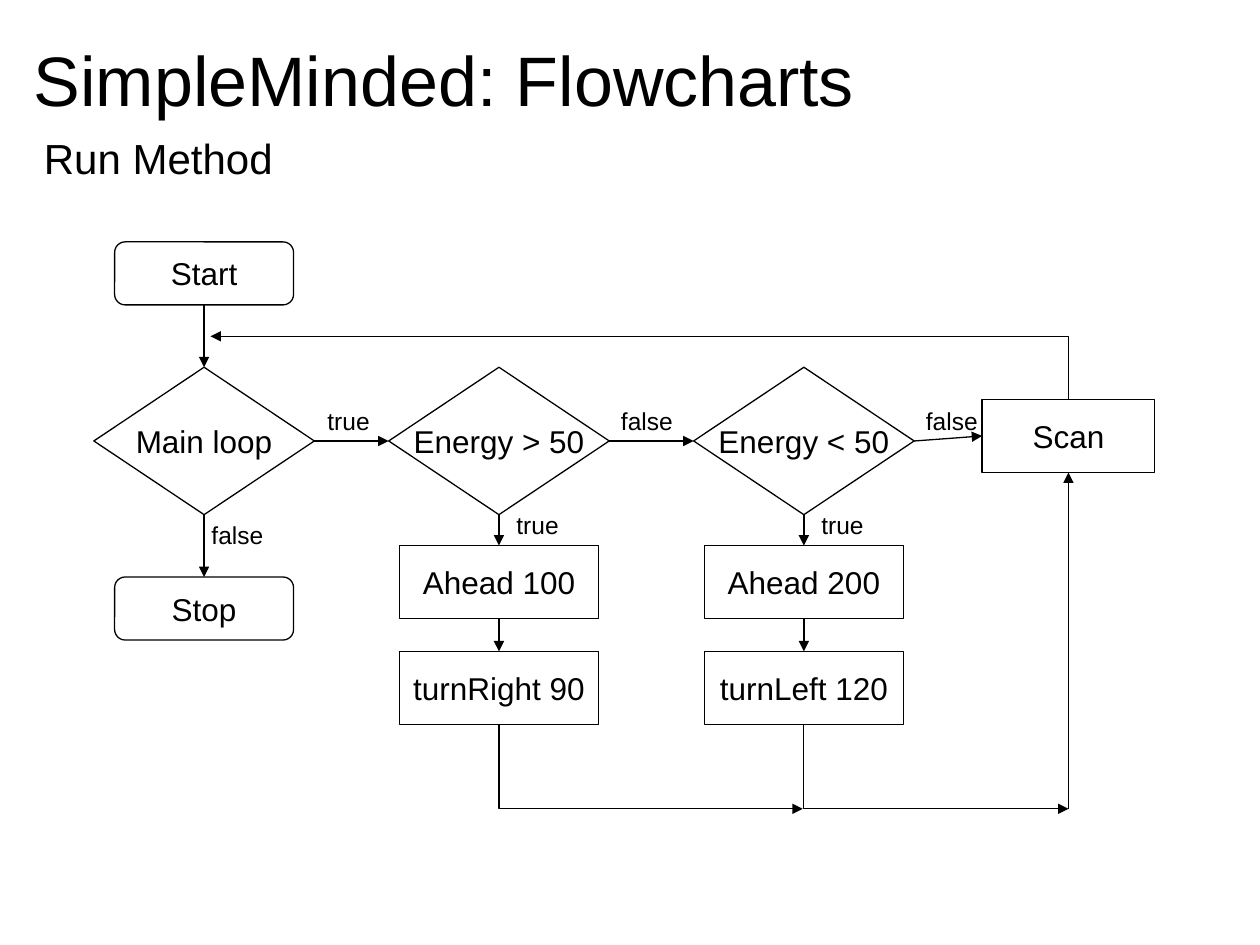
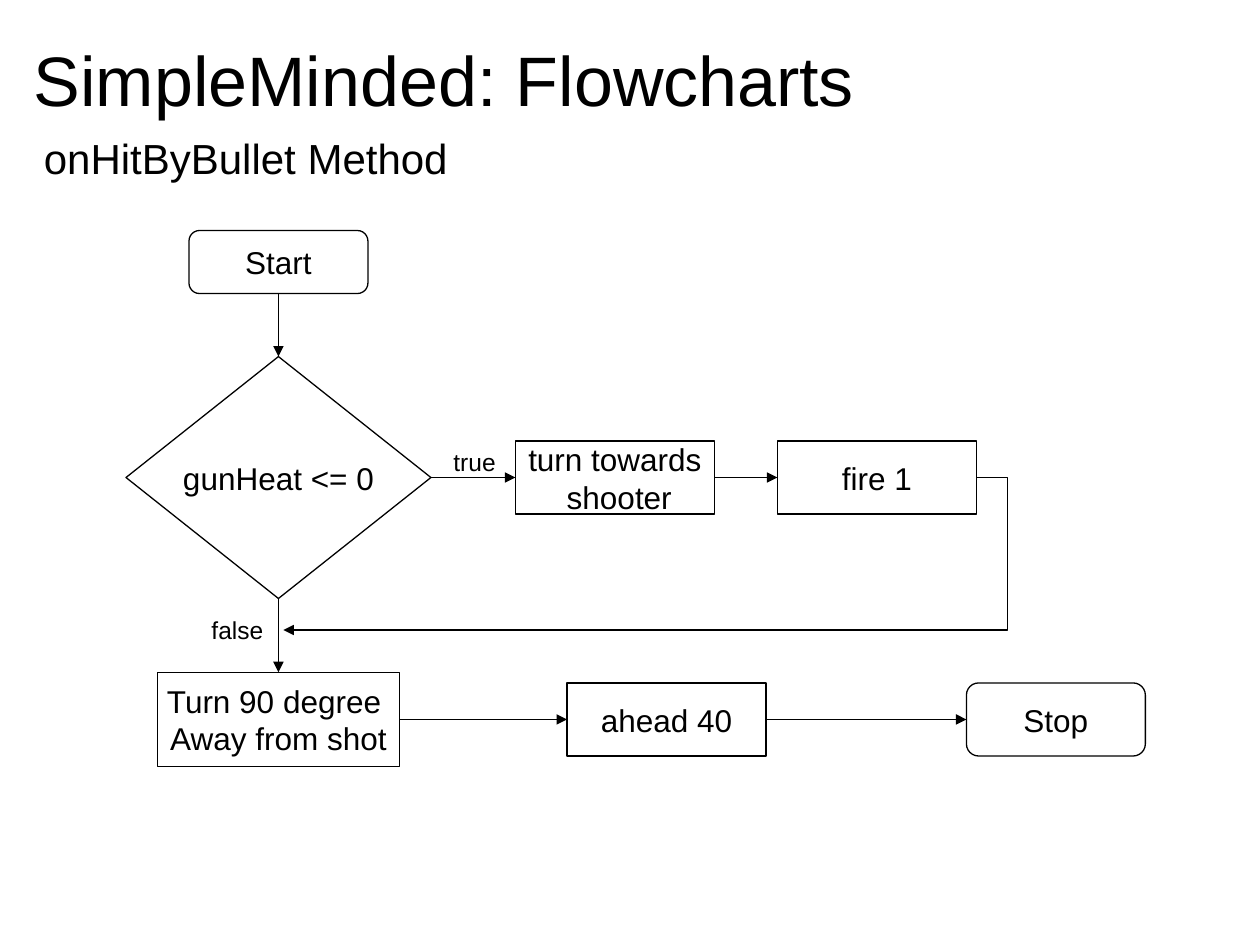
import pptx
import pptx.dml.color
import pptx.enum.shapes
import pptx.enum.text
import pptx.oxml.ns
import pptx.util
from lxml import etree

Inches = pptx.util.Inches
Pt = pptx.util.Pt
qn = pptx.oxml.ns.qn
ANCHOR = pptx.enum.text.MSO_ANCHOR
ALIGN = pptx.enum.text.PP_ALIGN
AUTO_SIZE = pptx.enum.text.MSO_AUTO_SIZE
SHAPE = pptx.enum.shapes.MSO_SHAPE
CONNECTOR = pptx.enum.shapes.MSO_CONNECTOR

COLORS = {"ink": "000000", "page": "FFFFFF"}
FONT = "Arial"
LINE_WIDTH = 0.75
TOP, LEFT, BOTTOM, RIGHT = range(4)
TERMINAL = SHAPE.FLOWCHART_ALTERNATE_PROCESS
STEP = SHAPE.FLOWCHART_PROCESS
DECISION = SHAPE.FLOWCHART_DECISION
TERMINAL_SIZE = (1.42, 0.5)
STEP_SIZE = (1.58, 0.58)
DECISION_SIZE = (1.75, 1.17)
LABEL_WIDTHS = {"true": 0.55, "false": 0.62}


def color(name):
    return pptx.dml.color.RGBColor.from_string(COLORS[name])


def write_text(shape, text, size, align=ALIGN.LEFT, **frame_format):
    frame = shape.text_frame
    frame.text = text
    for name, value in frame_format.items():
        setattr(frame, name, value)
    for para in frame.paragraphs:
        para.alignment = align
        for name, value in {"size": Pt(size), "name": FONT}.items():
            setattr(para.font, name, value)
        para.font.color.rgb = color("ink")


def add_text(page, at, text, size, **frame_format):
    box = page.shapes.add_textbox(*map(Inches, at))
    write_text(box, text, size, **frame_format)


def add_page(deck, subtitle):
    page = deck.slides.add_slide(deck.slide_layouts[6])
    page.background.fill.solid()
    page.background.fill.fore_color.rgb = color("page")
    add_text(page, (0.17, 0.25, 7.42, 0.75), "SimpleMinded: Flowcharts", 40,
             word_wrap=True, vertical_anchor=ANCHOR.MIDDLE)
    add_text(page, (0.25, 1, 5.08, 0.67), subtitle, 24, word_wrap=True)
    return page


def add_node(page, kind, center, size, text):
    (x, y), (width, height) = center, size
    node = page.shapes.add_shape(kind, Inches(x - width / 2), Inches(y - height / 2),
                                 Inches(width), Inches(height))
    node.shadow.inherit = False
    node.fill.background()
    node.line.color.rgb = color("ink")
    node.line.width = Pt(LINE_WIDTH)
    write_text(node, text, 18, ALIGN.CENTER, word_wrap=False,
               vertical_anchor=ANCHOR.MIDDLE)
    return node


def add_label(page, left, top, text):
    add_text(page, (left, top, LABEL_WIDTHS[text], 0.34), text, 14,
             word_wrap=False, auto_size=AUTO_SIZE.SHAPE_TO_FIT_TEXT)


def add_arrow(page, start=(0, 0), end=(0, 0), kind=CONNECTOR.STRAIGHT):
    arrow = page.shapes.add_connector(kind, *map(Inches, (*start, *end)))
    arrow.line.color.rgb = color("ink")
    arrow.line.width = Pt(LINE_WIDTH)
    etree.SubElement(arrow.line._get_or_add_ln(), qn("a:tailEnd"), type="triangle")
    etree.SubElement(arrow._element.spPr, qn("a:effectLst"))
    return arrow


def join(page, source, source_side, target, target_side):
    arrow = add_arrow(page)
    arrow.begin_connect(source, source_side)
    arrow.end_connect(target, target_side)


def add_corner_arrow(page, start, end):
    """Run vertically from start, then horizontally to end."""
    arrow = add_arrow(page, start, end, CONNECTOR.ELBOW)
    (x1, y1), (x2, y2) = start, end
    width, height = abs(y2 - y1), abs(x2 - x1)
    frame = {"left": (x1 + x2 - width) / 2, "top": (y1 + y2 - height) / 2,
             "width": width, "height": height}
    for name, value in frame.items():
        setattr(arrow, name, Inches(value))
    properties = arrow._element.spPr
    turn = {"rot": "16200000", "flipH": str(int(y2 > y1)), "flipV": str(int(x2 < x1))}
    for name, value in turn.items():
        properties.find(qn("a:xfrm")).set(name, value)
    properties.find(qn("a:prstGeom")).set("prst", "bentConnector2")


def add_return_arrow(page, start, end, overshoot):
    """Go right past start by overshoot, drop, and come back left to end."""
    arrow = add_arrow(page, start, end, CONNECTOR.ELBOW)
    ratio = round(-overshoot / (start[0] - end[0]) * 100000)
    guides = arrow._element.spPr.find(qn("a:prstGeom")).find(qn("a:avLst"))
    etree.SubElement(guides, qn("a:gd"), name="adj1", fmla=f"val {ratio}")


def build_run_method(deck):
    page = add_page(deck, "Run Method")
    loop_x, scan_x, test_y, merge_y = 1.62, 8.48, 3.5, 6.42
    start = add_node(page, TERMINAL, (loop_x, 2.17), TERMINAL_SIZE, "Start")
    stop = add_node(page, TERMINAL, (loop_x, 4.83), TERMINAL_SIZE, "Stop")
    loop = add_node(page, DECISION, (loop_x, test_y), DECISION_SIZE, "Main loop")
    scan = add_node(page, STEP, (scan_x, 3.46), (1.37, 0.58), "Scan")
    join(page, start, BOTTOM, loop, TOP)
    join(page, loop, BOTTOM, stop, TOP)
    add_label(page, 1.58, 4.08, "false")
    add_label(page, 2.5, 3.17, "true")

    previous = loop
    branches = [
        (3.96, "Energy > 50", "Ahead 100", "turnRight 90", 6.37),
        (6.38, "Energy < 50", "Ahead 200", "turnLeft 120", scan_x),
    ]
    for x, question, move, turn, merge_x in branches:
        test = add_node(page, DECISION, (x, test_y), DECISION_SIZE, question)
        ahead = add_node(page, STEP, (x, 4.62), STEP_SIZE, move)
        rotate = add_node(page, STEP, (x, 5.46), STEP_SIZE, turn)
        join(page, previous, RIGHT, test, LEFT)
        join(page, test, BOTTOM, ahead, TOP)
        join(page, ahead, BOTTOM, rotate, TOP)
        add_corner_arrow(page, (x, 5.75), (merge_x, merge_y))
        add_label(page, x + 0.04, 4, "true")
        add_label(page, x + 0.87, 3.17, "false")
        previous = test
    join(page, previous, RIGHT, scan, LEFT)

    add_arrow(page, (scan_x, merge_y), (scan_x, 3.75)).end_connect(scan, BOTTOM)
    add_corner_arrow(page, (scan_x, 3.17), (1.67, 2.67))


def build_hit_method(deck):
    page = add_page(deck, "onHitByBullet Method")
    main_x, fire_y, move_y = 2.21, 3.79, 5.71
    start = add_node(page, TERMINAL, (main_x, 2.08), TERMINAL_SIZE, "Start")
    test = add_node(page, DECISION, (main_x, fire_y), (2.42, 1.92), "gunHeat <= 0")
    aim = add_node(page, STEP, (4.88, fire_y), STEP_SIZE, "turn towards\n shooter")
    fire = add_node(page, STEP, (6.96, fire_y), STEP_SIZE, "fire 1")
    turn = add_node(page, STEP, (main_x, move_y), (1.92, 0.75),
                    "Turn 90 degree \nAway from shot")
    ahead = add_node(page, STEP, (5.29, move_y), STEP_SIZE, "ahead 40")
    stop = add_node(page, TERMINAL, (8.38, move_y), (1.42, 0.58), "Stop")
    for upper, lower in [(start, test), (test, turn)]:
        join(page, upper, BOTTOM, lower, TOP)
    for source, target in [(test, aim), (aim, fire), (turn, ahead), (ahead, stop)]:
        join(page, source, RIGHT, target, LEFT)
    add_return_arrow(page, (7.75, fire_y), (2.25, 5), 0.25)
    add_label(page, 3.5, 3.5, "true")
    add_label(page, 1.58, 4.83, "false")


def main():
    deck = pptx.Presentation()
    deck.slide_width, deck.slide_height = Inches(10), Inches(7.5)
    build_run_method(deck)
    build_hit_method(deck)
    deck.save("out.pptx")


if __name__ == "__main__":
    main()
